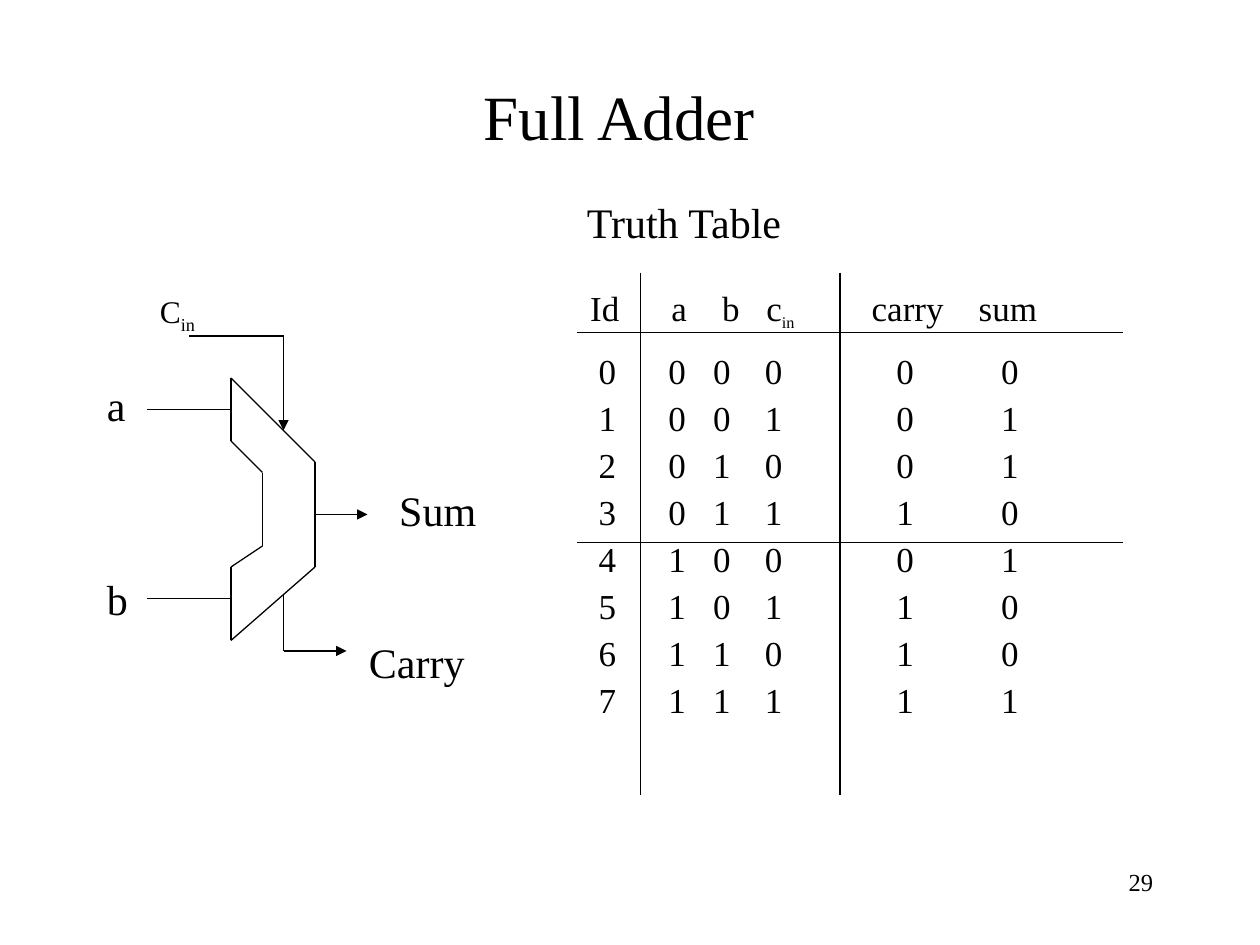
from itertools import pairwise

from lxml.etree import SubElement
from pptx import Presentation
from pptx.dml.color import RGBColor
from pptx.enum.shapes import MSO_CONNECTOR as Connector
from pptx.enum.text import MSO_ANCHOR as Anchor, PP_ALIGN as Align
from pptx.oxml.ns import qn
from pptx.util import Inches, Pt

BLACK = RGBColor(0, 0, 0)
FONT = "Times New Roman"
LINE_WIDTH = Pt(0.75)
UNIT = Inches(1) / 12
NO_STYLE = "{2D5ABB26-0587-4C30-8999-92F81FD0307C}"

ADDER_OUTLINE = [(22, 36), (30, 44), (30, 54), (22, 61), (22, 54),
                 (25, 52), (25, 45), (22, 42), (22, 36)]
TABLE_RULES = [
    [(55, 31.7), (107, 31.7)],
    [(80, 26), (80, 75.7)],
    [(61, 26), (61, 75.7)],
    [(55, 51.7), (107, 51.7)],
]
PLAIN_LINES = [
    *TABLE_RULES,
    ADDER_OUTLINE,
    [(14, 39), (22, 39)],
    [(14, 57), (22, 57)],
]
ARROWS = [
    [(18, 32), (27, 32), (27, 41)],
    [(30, 49), (35, 49)],
    [(27, 56.6), (27, 62), (33, 62)],
]
LABELS = [
    ("Truth Table", "", 24, 4.56, 1.51, 1.78, 0.5),
    ("a", "", 24, 0.75, 2.96, 0.35, 0.5),
    ("b", "", 24, 0.75, 4.5, 0.37, 0.5),
    ("Sum", "", 24, 3.07, 3.8, 0.81, 0.5),
    ("Carry", "", 24, 2.83, 5, 0.96, 0.5),
    ("C", "in", 18, 1.17, 2.27, 0.5, 0.4),
]
HEADERS = ["Id", "a", "b", "c", "carry", "sum"]
COLUMN_EDGES = [4.58, 5.08, 5.56, 5.9, 6.67, 7.6, 8.92]
HEADER_MARGINS = [(0, 0.06), (0.14, 0), (0.14, 0), (0, 0.18), (0.14, 0), (0, 0.52)]
BODY_MARGINS = [(0, 0.02), (0.11, 0), (0, 0), (0, 0.29), (0.1, 0), (0, 0.49)]
ROW_HEIGHTS = [0.47, 0.55] + [2.61 / 7] * 7 + [0.51]


def grid(*counts):
    return [round(count * UNIT) for count in counts]


def format_runs(paragraph, size):
    for run in paragraph.runs:
        run.font.name = FONT
        run.font.size = Pt(size)
        run.font.color.rgb = BLACK


def add_subscript(paragraph, text, size):
    run = paragraph.add_run()
    run.text = text
    run.font.name = FONT
    run.font.size = Pt(size)
    run.font.color.rgb = BLACK
    run.font._element.set("baseline", "-25000")


def format_title(slide, text):
    title = slide.shapes.title
    title.left, title.top = Inches(0.83), Inches(0.58)
    title.width, title.height = Inches(8.17), Inches(0.67)
    title.text_frame.text = text
    title.text_frame.vertical_anchor = Anchor.MIDDLE
    paragraph = title.text_frame.paragraphs[0]
    paragraph.alignment = Align.CENTER
    format_runs(paragraph, 36)


def add_label(slide, text, subscript, size, left, top, width, height):
    box = slide.shapes.add_textbox(*map(Inches, (left, top, width, height)))
    box.text_frame.word_wrap = False
    box.text_frame.text = text
    paragraph = box.text_frame.paragraphs[0]
    format_runs(paragraph, size)
    if subscript:
        add_subscript(paragraph, subscript, size)
    return box


def add_lines(slide, points, has_arrow=False):
    for start, end in pairwise(points):
        line = slide.shapes.add_connector(Connector.STRAIGHT, *grid(*start, *end))
        line.line.color.rgb = BLACK
        line.line.width = LINE_WIDTH
        properties = line._element.spPr
        if has_arrow and end == points[-1]:
            SubElement(properties.find(qn("a:ln")), qn("a:tailEnd"), type="triangle")
        SubElement(properties, qn("a:effectLst"))


def format_cell(cell, is_header, margins):
    cell.fill.background()
    cell.vertical_anchor = Anchor.TOP if is_header else Anchor.BOTTOM
    cell.margin_left, cell.margin_right = map(Inches, margins)
    cell.margin_top = Inches(0.13 if is_header else 0)
    cell.margin_bottom = Inches(0 if is_header else 0.08)
    paragraph = cell.text_frame.paragraphs[0]
    paragraph.alignment = Align.CENTER
    paragraph.line_spacing = 1.0 if is_header else 0.9
    format_runs(paragraph, 20)


def truth_rows():
    for number in range(8):
        a, b, carry_in = number >> 2, number >> 1 & 1, number & 1
        total = a + b + carry_in
        yield [number, a, b, carry_in, total // 2, total % 2]


def add_truth_table(slide):
    rows = [HEADERS, *truth_rows(), [""] * len(HEADERS)]
    left, right = COLUMN_EDGES[0], COLUMN_EDGES[-1]
    frame = slide.shapes.add_table(
        len(rows), len(HEADERS), Inches(left), Inches(2.17),
        Inches(right - left), Inches(sum(ROW_HEIGHTS)))
    table = frame.table
    table.first_row = table.horz_banding = False
    table._tbl.tblPr.find(qn("a:tableStyleId")).text = NO_STYLE
    for column, (start, end) in zip(table.columns, pairwise(COLUMN_EDGES)):
        column.width = Inches(end - start)
    for row, height in zip(table.rows, ROW_HEIGHTS):
        row.height = Inches(height)
    for row, values in enumerate(rows):
        is_header = row == 0
        margins = HEADER_MARGINS if is_header else BODY_MARGINS
        for column, value in enumerate(values):
            cell = table.cell(row, column)
            cell.text_frame.text = str(value)
            format_cell(cell, is_header, margins[column])
    add_subscript(table.cell(0, 3).text_frame.paragraphs[0], "in", 16)


def main():
    presentation = Presentation()
    presentation.slide_width, presentation.slide_height = Inches(10), Inches(7.5)
    slide = presentation.slides.add_slide(presentation.slide_layouts[5])
    format_title(slide, "Full Adder")
    add_truth_table(slide)
    for points in PLAIN_LINES:
        add_lines(slide, points)
    for points in ARROWS:
        add_lines(slide, points, has_arrow=True)
    for label in LABELS:
        add_label(slide, *label)
    number = add_label(slide, "29", "", 14, 7.17, 6.83, 2.08, 0.5)
    number.text_frame.word_wrap = True
    number.text_frame.paragraphs[0].alignment = Align.RIGHT
    presentation.save("out.pptx")


if __name__ == "__main__":
    main()
